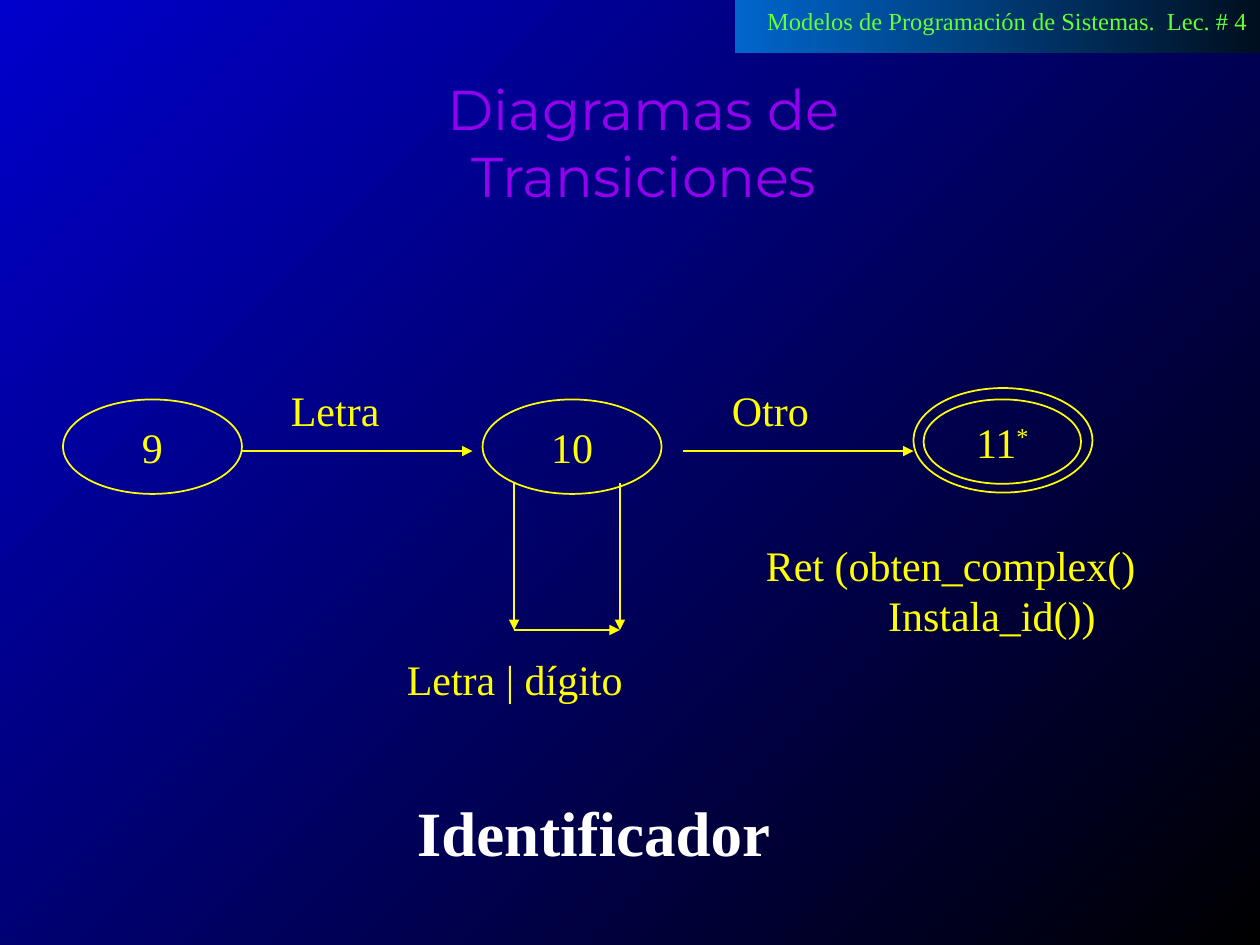
from lxml import etree
from pptx import Presentation
from pptx import util as u
from pptx.dml.color import RGBColor
from pptx.enum import shapes, text
from pptx.oxml.ns import qn

YELLOW = RGBColor(0xFF, 0xFF, 0x00)
GREEN = RGBColor(0x66, 0xFF, 0x33)
PURPLE = RGBColor(0x94, 0x00, 0xED)
WHITE = RGBColor(0xFF, 0xFF, 0xFF)
BLACK = RGBColor(0x00, 0x00, 0x00)
BLUE = RGBColor(0x00, 0x00, 0xCC)
BAND_DARK = RGBColor(0x00, 0x0F, 0x1F)
BAND_LIGHT = RGBColor(0x00, 0x66, 0xCC)

STATE_WIDTH, STATE_HEIGHT = 1.42, 0.75
STATE_TOP = 3.17
ARROW_Y = 3.58
LOOP_LEFT, LOOP_RIGHT, LOOP_TOP, LOOP_BOTTOM = 4.08, 4.92, 3.83, 5


class DiagramSlide:
    font_name = "Times New Roman"
    font_size = 24
    color = YELLOW
    line_width = u.Pt(1)

    def __init__(self, presentation):
        self.slide = presentation.slides.add_slide(presentation.slide_layouts[5])

    @staticmethod
    def box(*lengths):
        return [u.Inches(length) for length in lengths]

    @staticmethod
    def gradient(fill, first, last, angle):
        fill.gradient()
        fill.gradient_angle = angle
        for stop, color in zip(fill.gradient_stops, (first, last)):
            stop.color.rgb = color

    def set_text(self, frame, words, size=None, color=None, name=None, bold=False,
                 wrap=False, align=text.PP_ALIGN.LEFT):
        frame.word_wrap = wrap
        frame.auto_size = text.MSO_AUTO_SIZE.NONE
        paragraph = frame.paragraphs[0]
        paragraph.text = words
        paragraph.alignment = align
        font = paragraph.font
        font.name = name or self.font_name
        font.size = u.Pt(size or self.font_size)
        font.bold = bold
        font.color.rgb = color or self.color
        return paragraph

    def title(self, words, left, top, width, height):
        shape = self.slide.shapes.title
        shape.left, shape.top, shape.width, shape.height = self.box(left, top, width, height)
        shape.text_frame.vertical_anchor = text.MSO_ANCHOR.TOP
        self.set_text(shape.text_frame, words, 32, PURPLE, "Montserrat",
                      align=text.PP_ALIGN.CENTER)

    def band(self, left, top, width, height):
        shape = self.slide.shapes.add_shape(
            shapes.MSO_SHAPE.RECTANGLE, *self.box(left, top, width, height))
        shape.shadow.inherit = False
        shape.line.fill.background()
        self.gradient(shape.fill, BAND_DARK, BAND_LIGHT, 180)

    def label(self, words, left, top, width, height, **style):
        shape = self.slide.shapes.add_textbox(*self.box(left, top, width, height))
        return self.set_text(shape.text_frame, words, **style)

    def state(self, left, top, width, height, words="", mark=""):
        """Draw an oval state; mark is set as a superscript after its number."""
        shape = self.slide.shapes.add_shape(
            shapes.MSO_SHAPE.OVAL, *self.box(left, top, width, height))
        shape.shadow.inherit = False
        shape.fill.background()
        shape.line.color.rgb = self.color
        shape.line.width = self.line_width
        if words:
            shape.text_frame.vertical_anchor = text.MSO_ANCHOR.MIDDLE
            paragraph = self.set_text(shape.text_frame, words, align=text.PP_ALIGN.CENTER)
            if mark:
                run = paragraph.add_run()
                run.text = mark
                run._r.get_or_add_rPr().set("baseline", "30000")

    def arrow(self, *ends):
        connector = self.slide.shapes.add_connector(
            shapes.MSO_CONNECTOR.STRAIGHT, *self.box(*ends))
        connector.line.color.rgb = self.color
        connector.line.width = self.line_width
        etree.SubElement(connector.line._get_or_add_ln(), qn("a:tailEnd"), type="triangle")
        etree.SubElement(connector._element.spPr, qn("a:effectLst"))


def main():
    presentation = Presentation()
    presentation.slide_width = u.Inches(10)
    presentation.slide_height = u.Inches(7.5)

    diagram = DiagramSlide(presentation)
    diagram.gradient(diagram.slide.background.fill, BLACK, BLUE, 135)
    diagram.band(5.83, 0, 4.17, 0.42)
    diagram.label("Modelos de Programación de Sistemas.  Lec. # 4",
                  5.99, 0, 4.01, 0.34, size=14, color=GREEN)
    diagram.title("Diagramas de Transiciones", 2.33, 0.54, 5.56, 0.96)

    for number, left in (("9", 0.5), ("10", 3.83)):
        diagram.state(left, STATE_TOP, STATE_WIDTH, STATE_HEIGHT, number)
    diagram.state(7.25, 3.08, STATE_WIDTH, 0.83)
    diagram.state(7.33, STATE_TOP, 1.25, 0.67, "11", mark="*")

    for start in (1.92, 5.42):
        diagram.arrow(start, ARROW_Y, start + 1.83, ARROW_Y)
    for x in (LOOP_LEFT, LOOP_RIGHT):
        diagram.arrow(x, LOOP_TOP, x, LOOP_BOTTOM)
    diagram.arrow(LOOP_LEFT, LOOP_BOTTOM, LOOP_RIGHT, LOOP_BOTTOM)

    diagram.label("Letra", 2.21, 3, 1.05, 0.5)
    diagram.label("Otro", 5.71, 3, 0.91, 0.5)
    diagram.label("Letra | dígito", 3.13, 5.14, 2.31, 0.5)
    action = diagram.label("Ret (obten_complex()\vInstala_id())",
                           5.98, 4.23, 3.27, 1.7, wrap=True)
    hanging = u.Inches(0.97)
    properties = action._p.get_or_add_pPr()
    properties.set("marL", str(hanging))
    properties.set("indent", str(-hanging))
    diagram.label("Identificador", 3.21, 6.25, 3.54, 0.7,
                  size=36, color=WHITE, bold=True)

    presentation.save("out.pptx")


if __name__ == "__main__":
    main()
